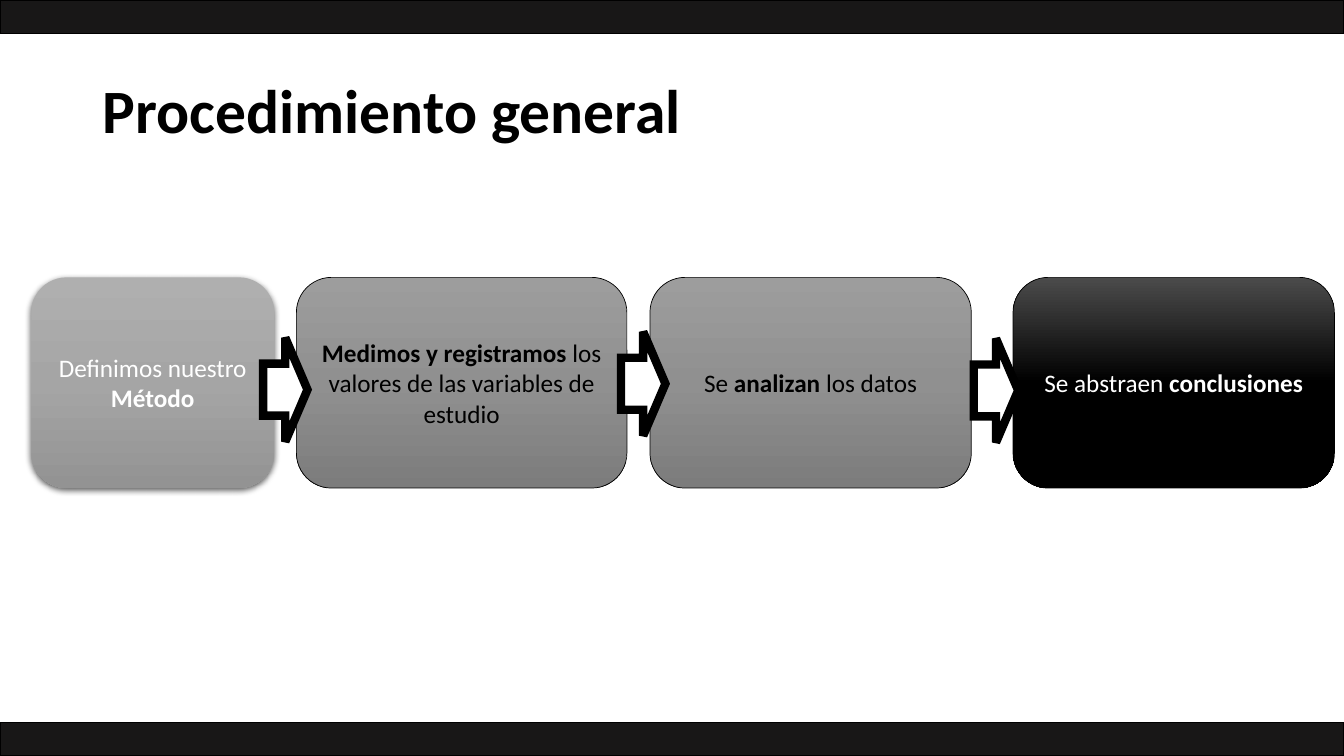
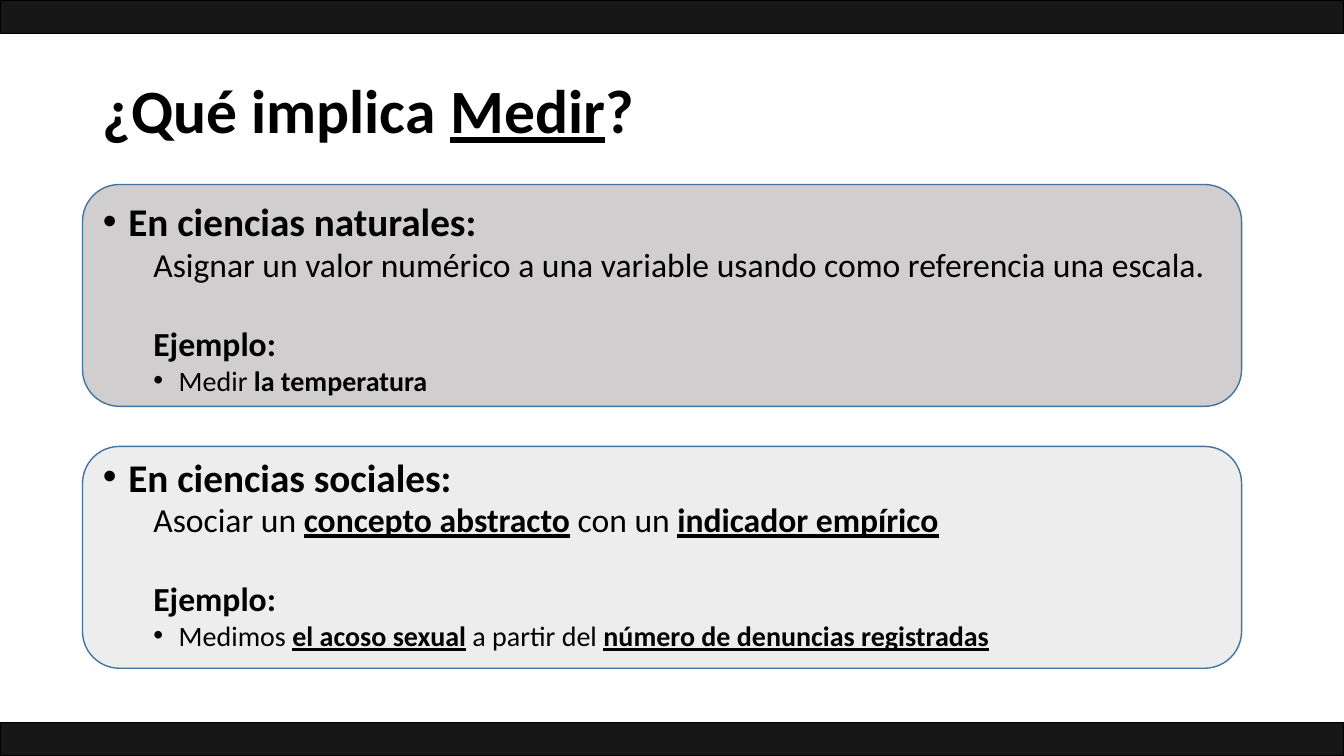
"""Build two slides on the research procedure and on what measuring implies."""
import copy
import dataclasses

import lxml.etree
import pptx
import pptx.dml.color
import pptx.enum.shapes
import pptx.enum.text
import pptx.oxml.ns
import pptx.util

Cm = pptx.util.Cm
Pt = pptx.util.Pt
qn = pptx.oxml.ns.qn
SHAPES = pptx.enum.shapes.MSO_SHAPE
ALIGN = pptx.enum.text.PP_ALIGN
ANCHOR = pptx.enum.text.MSO_ANCHOR


@dataclasses.dataclass(frozen=True)
class Theme:
    """Colours, type sizes and shared measures in centimetres."""
    font: str = "Calibri"
    black: str = "000000"
    white: str = "FFFFFF"
    band: str = "181717"
    panel_line: str = "43739E"
    natural: str = "D0CECE"
    social: str = "EDEDED"
    light_step: tuple = ("AFAFAF", "A5A5A5", "939393")
    grey_step: tuple = ("9D9D9D", "909090", "7C7C7C")
    dark_step: tuple = ("4B4B4B", "000000", "000000")
    title_size: int = 44
    heading_size: int = 28
    text_size: int = 24
    example_size: int = 20
    step_size: int = 18
    width: float = 33.87
    height: float = 19.05
    band_height: float = 0.84
    content_left: float = 2.34
    content_width: float = 29.21


THEME = Theme()


@dataclasses.dataclass(frozen=True)
class Level:
    """Look of one kind of line in the body list."""
    size: int
    depth: int
    margin: float
    bullet: bool
    before: float


HEADING = Level(THEME.heading_size, 0, 0.64, True, 47)
DEFINITION = Level(THEME.text_size, 1, 1.27, False, 5)
EXAMPLE_LABEL = Level(THEME.text_size, 1, 1.27, False, 33.4)
EXAMPLE = Level(THEME.example_size, 1, 1.91, True, 5)


def rgb(code):
    """Turn a hex code into a colour."""
    return pptx.dml.color.RGBColor.from_string(code)


def place(item, left, top, width, height):
    """Move and size a placeholder, in centimetres."""
    item.left, item.top, item.width, item.height = map(Cm, (left, top, width, height))


def write(paragraph, runs, size, color):
    """Fill a paragraph from (text, marks) pairs; marks hold b and u."""
    paragraph.font.name = THEME.font
    paragraph.font.size = Pt(size)
    paragraph.font.color.rgb = rgb(color)
    for text, marks in runs:
        run = paragraph.add_run()
        run.text = text
        run.font.bold = "b" in marks
        run.font.underline = "u" in marks


def add_block(slide, kind, box, fill, line=None, line_width=1.0):
    """Add a preset shape with a plain or three-stop fill."""
    block = slide.shapes.add_shape(kind, *map(Cm, box))
    block.shadow.inherit = False
    if isinstance(fill, tuple):
        shade(block, fill)
    else:
        block.fill.solid()
        block.fill.fore_color.rgb = rgb(fill)
    if line:
        block.line.color.rgb = rgb(line)
        block.line.width = Pt(line_width)
    else:
        block.line.fill.background()
    return block


def shade(block, colors):
    """Fill a shape with an even gradient from top to bottom."""
    block.fill.gradient()
    block.fill.gradient_angle = 270
    stops = block._element.spPr.find(".//" + qn("a:gsLst"))
    stops.append(copy.deepcopy(stops[0]))
    for index, (stop, color) in enumerate(zip(block.fill.gradient_stops, colors)):
        stop.position = index / (len(colors) - 1)
        stop.color.rgb = rgb(color)


def add_shadow(block):
    """Give a shape a soft shadow below it."""
    effects = block._element.spPr.find(qn("a:effectLst"))
    shadow = lxml.etree.SubElement(
        effects, qn("a:outerShdw"), blurRad=str(Pt(4.5)), dist=str(Pt(1.5)),
        dir="5400000", algn="ctr", rotWithShape="0")
    color = lxml.etree.SubElement(shadow, qn("a:srgbClr"), val=THEME.black)
    lxml.etree.SubElement(color, qn("a:alpha"), val="63000")


def add_step(slide, left, width, fill, color, line, runs):
    """Add one rounded step of the procedure."""
    step = add_block(slide, SHAPES.ROUNDED_RECTANGLE, (left, 6.99, width, 5.31),
                     fill, line, 0.5)
    step.text_frame.word_wrap = True
    step.text_frame.vertical_anchor = ANCHOR.MIDDLE
    paragraph = step.text_frame.paragraphs[0]
    paragraph.alignment = ALIGN.CENTER
    write(paragraph, runs, THEME.step_size, color)
    return step


def add_arrow(slide, left, top):
    """Add a heavy outlined arrow between two steps."""
    arrow = add_block(slide, SHAPES.RIGHT_ARROW, (left, top, 1.12, 2.62),
                      THEME.white, THEME.black, 6)
    lxml.etree.SubElement(arrow.line._get_or_add_ln(), qn("a:miter"), lim="800000")


def add_panel(slide, top, fill):
    """Add a rounded panel behind the placeholders."""
    panel = add_block(slide, SHAPES.ROUNDED_RECTANGLE,
                      (2.08, top, THEME.content_width, 5.59), fill, THEME.panel_line)
    slide.shapes._spTree.insert(2, panel._element)


def add_line(paragraph, level, runs, first):
    """Set one line of the body list."""
    paragraph.level = level.depth
    paragraph.line_spacing = 0.8
    paragraph.space_before = Pt(0 if first else level.before)
    properties = paragraph._p.get_or_add_pPr()
    properties.set("marL", str(Cm(level.margin)))
    properties.set("indent", str(Cm(-0.64) if level.bullet else 0))
    if level.bullet:
        lxml.etree.SubElement(properties, qn("a:buFont"), typeface="Arial")
        lxml.etree.SubElement(properties, qn("a:buChar"), char="•")
    else:
        lxml.etree.SubElement(properties, qn("a:buNone"))
    write(paragraph, runs, level.size, THEME.black)


def fill_body(body, lines):
    """Place the body and write its lines."""
    place(body, THEME.content_left, 5.08, THEME.content_width, 12.09)
    frame = body.text_frame
    frame.auto_size = pptx.enum.text.MSO_AUTO_SIZE.NONE
    frame.vertical_anchor = ANCHOR.TOP
    for index, (level, runs) in enumerate(lines):
        paragraph = frame.add_paragraph() if index else frame.paragraphs[0]
        add_line(paragraph, level, runs, index == 0)


def start_slide(deck, layout, title_runs):
    """Add a slide with its title and the two dark bands."""
    slide = deck.slides.add_slide(deck.slide_layouts.get_by_name(layout))
    title = slide.shapes.title
    place(title, THEME.content_left, 1.02, THEME.content_width, 3.68)
    title.text_frame.auto_size = pptx.enum.text.MSO_AUTO_SIZE.NONE
    title.text_frame.vertical_anchor = ANCHOR.MIDDLE
    paragraph = title.text_frame.paragraphs[0]
    paragraph.alignment = ALIGN.LEFT
    paragraph.line_spacing = 0.9
    write(paragraph, title_runs, THEME.title_size, THEME.black)
    for top in (0, THEME.height - THEME.band_height):
        add_block(slide, SHAPES.RECTANGLE, (0, top, THEME.width, THEME.band_height),
                  THEME.band, THEME.black)
    return slide


def build_procedure(deck):
    """Build the slide with the four steps."""
    slide = start_slide(deck, "Title Only", [("Procedimiento general", "b")])
    method = add_step(slide, 0.79, 6.12, THEME.light_step, THEME.white, None,
                      [("Definimos nuestro ", ""), ("Método", "b")])
    add_shadow(method)
    add_step(slide, 7.47, 8.33, THEME.grey_step, THEME.black, THEME.black,
             [("Medimos y registramos ", "b"),
              ("los valores de las variables de estudio", "")])
    add_step(slide, 16.38, 8.1, THEME.grey_step, THEME.black, THEME.black,
             [("Se ", ""), ("analizan", "b"), (" los datos", "")])
    add_step(slide, 25.53, 8.1, THEME.dark_step, THEME.white, THEME.black,
             [("Se abstraen", ""), (" conclusiones", "b")])
    for left, top in ((6.63, 8.51), (15.65, 8.36), (24.54, 8.53)):
        add_arrow(slide, left, top)


def build_measuring(deck):
    """Build the slide that compares two senses of measuring."""
    slide = start_slide(deck, "Title and Content",
                        [("¿Qué implica ", "b"), ("Medir", "bu"), ("?", "b")])
    add_panel(slide, 4.65, THEME.natural)
    add_panel(slide, 11.25, THEME.social)
    example_label = (EXAMPLE_LABEL, [("Ejemplo:", "b")])
    fill_body(slide.placeholders[1], [
        (HEADING, [("En ciencias naturales:", "b")]),
        (DEFINITION, [("Asignar un valor numérico a una variable usando como "
                       "referencia una escala.", "")]),
        example_label,
        (EXAMPLE, [("Medir ", ""), ("la temperatura", "b")]),
        (HEADING, [("En ciencias sociales:", "b")]),
        (DEFINITION, [("Asociar un ", ""), ("concepto abstracto", "bu"),
                      (" con un ", ""), ("indicador empírico", "bu")]),
        example_label,
        (EXAMPLE, [("Medimos ", ""), ("el acoso sexual", "bu"),
                   (" a partir del ", ""),
                   ("número de denuncias registradas", "bu")]),
    ])


def main():
    """Build and save the deck."""
    deck = pptx.Presentation()
    deck.slide_width = Cm(THEME.width)
    deck.slide_height = Cm(THEME.height)
    build_procedure(deck)
    build_measuring(deck)
    deck.save("out.pptx")


if __name__ == "__main__":
    main()
